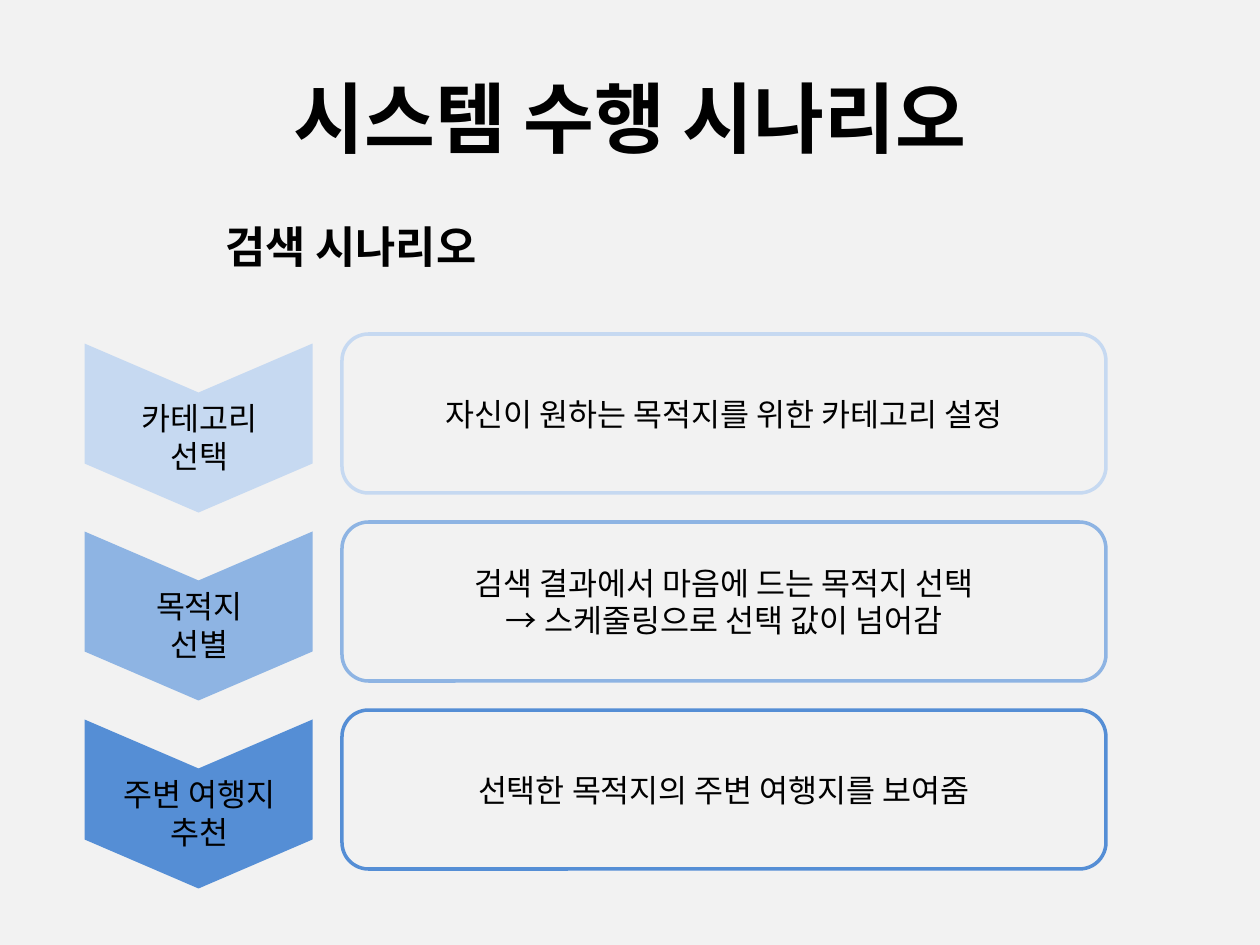
from dataclasses import dataclass

from lxml.etree import SubElement
from pptx import Presentation
from pptx.dml.color import RGBColor
from pptx.enum.shapes import MSO_SHAPE as SHAPE
from pptx.enum.text import MSO_ANCHOR as ANCHOR, MSO_AUTO_SIZE as AUTO, PP_ALIGN as ALIGN
from pptx.oxml.ns import qn
from pptx.util import Emu, Pt


@dataclass(frozen=True)
class Theme:
    font: str = "Noto Sans CJK KR"
    ink: str = "000000"
    background: str = "F2F2F2"
    steps: tuple = ("C6D9F1", "8EB4E3", "558ED5")
    title: int = 44
    heading: int = 25
    body: int = 18
    outline: int = 2


def px(n):
    return Emu(round(n * 914400 / 126))


def rgb(code):
    return RGBColor.from_string(code)


class SlideBuilder:
    def __init__(self, prs, theme):
        self.theme = theme
        self.s = prs.slides.add_slide(prs.slide_layouts[5])
        fill = self.s.background.fill
        fill.solid()
        fill.fore_color.rgb = rgb(theme.background)

    def set_text(self, tf, text, size, bold=False, align=ALIGN.CENTER):
        tf.text = text
        for p in tf.paragraphs:
            p.alignment = align
            for r in p.runs:
                r.font.name = self.theme.font
                r.font.size = Pt(size)
                r.font.bold = bold
                r.font.color.rgb = rgb(self.theme.ink)
                # Korean text takes the East Asian typeface
                SubElement(r.font._element, qn("a:ea"), typeface=self.theme.font)

    def title(self, text, x, y, w, h):
        sp = self.s.shapes.title
        sp.left, sp.top, sp.width, sp.height = map(px, (x, y, w, h))
        tf = sp.text_frame
        tf.vertical_anchor = ANCHOR.MIDDLE
        self.set_text(tf, text, self.theme.title, bold=True)

    def text(self, text, x, y, w, h, size, wrap=False, **style):
        tf = self.s.shapes.add_textbox(*map(px, (x, y, w, h))).text_frame
        tf.word_wrap = wrap
        tf.auto_size = AUTO.SHAPE_TO_FIT_TEXT
        self.set_text(tf, text, size, **style)

    def chevron(self, x, y, w, h, color):
        sp = self.s.shapes.add_shape(SHAPE.CHEVRON, *map(px, (x, y, w, h)))
        sp.shadow.inherit = False
        sp.rotation = 90
        sp.adjustments[0] = 0.29
        sp.fill.solid()
        sp.fill.fore_color.rgb = rgb(color)
        sp.line.fill.background()

    def box(self, text, x, y, w, h, color):
        sp = self.s.shapes.add_shape(SHAPE.ROUNDED_RECTANGLE, *map(px, (x, y, w, h)))
        sp.shadow.inherit = False
        sp.fill.background()
        sp.line.color.rgb = rgb(color)
        sp.line.width = Pt(self.theme.outline)
        tf = sp.text_frame
        tf.word_wrap = True
        tf.vertical_anchor = ANCHOR.MIDDLE
        self.set_text(tf, text, self.theme.body)


STEPS = [
    ("카테고리\n선택", "자신이 원하는 목적지를 위한 카테고리 설정"),
    ("목적지\n선별", "검색 결과에서 마음에 드는 목적지 선택\n→ 스케줄링으로 선택 값이 넘어감"),
    ("주변 여행지\n추천", "선택한 목적지의 주변 여행지를 보여줌"),
]
FIRST_TOP, PITCH = 334, 188


def main():
    prs = Presentation()
    prs.slide_width, prs.slide_height = px(1260), px(945)
    theme = Theme()
    b = SlideBuilder(prs, theme)

    # Title and heading
    b.title("시스템 수행 시나리오", 63, 38, 1134, 157)
    b.text("검색 시나리오", 213, 214, 328, 66, theme.heading,
           wrap=True, bold=True, align=ALIGN.LEFT)

    # Steps: chevron, its label and the description
    for i, ((label, description), color) in enumerate(zip(STEPS, theme.steps)):
        top = FIRST_TOP + i * PITCH
        b.chevron(114, top - 20, 169, 228, color)
        b.text(label, 102, top + 59, 195, 89, theme.body)
        b.box(description, 342, top, 764, 159, color)

    prs.save("out.pptx")


if __name__ == "__main__":
    main()
